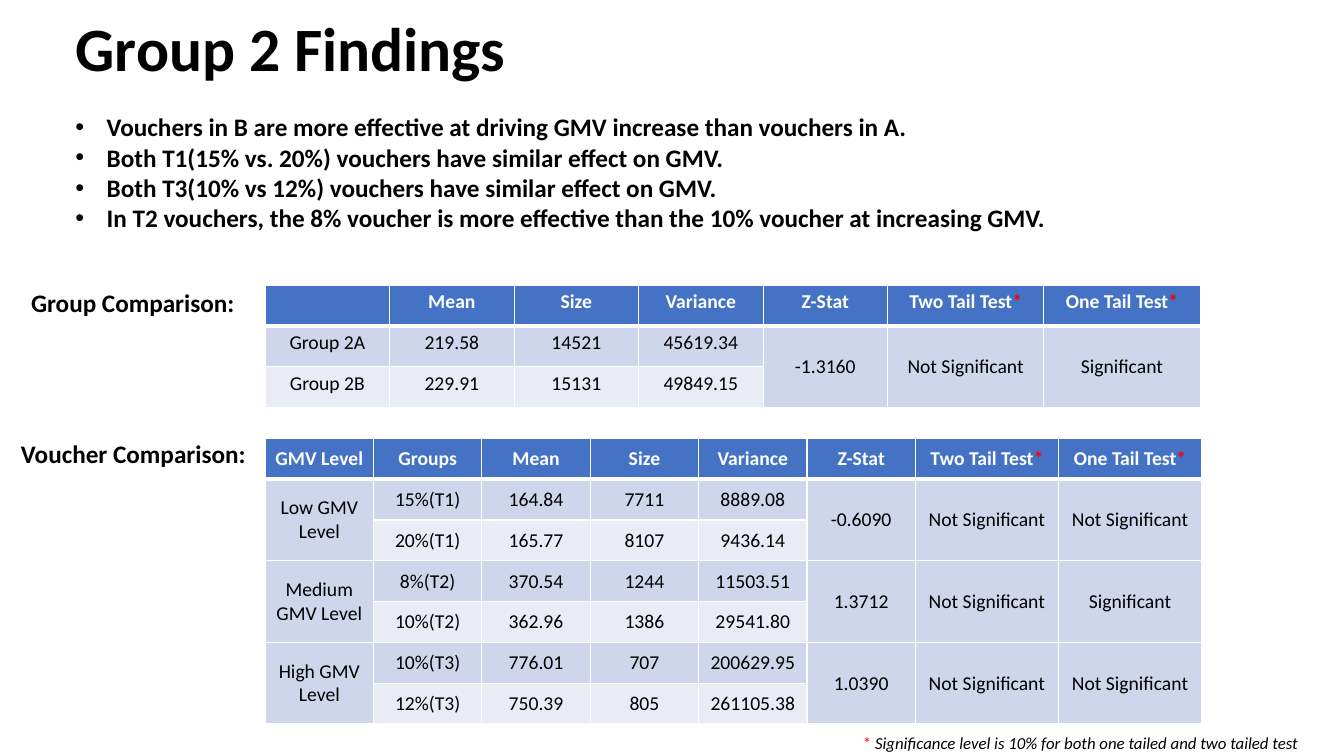
from dataclasses import dataclass

from lxml.etree import SubElement
from pptx import Presentation
from pptx.dml.color import RGBColor
from pptx.enum.text import MSO_ANCHOR as Anchor, MSO_AUTO_SIZE as AutoSize, PP_ALIGN as Align
from pptx.oxml import parse_xml
from pptx.oxml.ns import nsdecls, qn
from pptx.util import Inches, Pt


@dataclass(frozen=True)
class Theme:
    font: str = "Calibri"
    text: str = "000000"
    white: str = "FFFFFF"
    star: str = "FF0000"
    header: str = "4472C4"
    band_dark: str = "CFD5EA"
    band_light: str = "E9EBF5"
    title_size: int = 44
    body_size: int = 18
    table_size: int = 14
    note_size: int = 12


THEME = Theme()


def write_text(frame, text, size, color=THEME.text, bold=False, italic=False,
               align=Align.LEFT, line_spacing=None, bullet=False):
    """Write one paragraph per line; an asterisk is a red note mark."""
    for index, line in enumerate(text.split("\n")):
        paragraph = frame.add_paragraph() if index else frame.paragraphs[0]
        paragraph.alignment = align
        paragraph.line_spacing = line_spacing
        if bullet:
            properties = paragraph._p.get_or_add_pPr()
            properties.set("marL", str(Inches(0.31)))
            properties.set("indent", str(-Inches(0.31)))
            SubElement(properties, qn("a:buFont"), typeface="Arial")
            SubElement(properties, qn("a:buChar"), char="•")
        for part in filter(None, line.partition("*")):
            is_star = part == "*"
            run = paragraph.add_run()
            run.text = part
            run.font.name = THEME.font
            run.font.size = Pt(size)
            run.font.bold = bold
            run.font.italic = italic and not is_star
            run.font.color.rgb = RGBColor.from_string(THEME.star if is_star else color)


def set_borders(cell, top, bottom):
    """Draw white cell borders; top and bottom are widths in points."""
    properties = cell._tc.get_or_add_tcPr()
    widths = {"lnL": 1, "lnR": 1, "lnT": top, "lnB": bottom}
    for position, (side, width) in enumerate(widths.items()):
        properties.insert(position, parse_xml(
            f'<a:{side} {nsdecls("a")} w="{Pt(width)}"><a:solidFill>'
            f'<a:srgbClr val="{THEME.white}"/></a:solidFill></a:{side}>'))


class SlideBuilder:
    def __init__(self, presentation, theme):
        self.theme = theme
        self.slide = presentation.slides.add_slide(presentation.slide_layouts[5])

    def title(self, text, left, top, width, height):
        shape = self.slide.shapes.title
        shape.left, shape.top = Inches(left), Inches(top)
        shape.width, shape.height = Inches(width), Inches(height)
        frame = shape.text_frame
        frame.auto_size = AutoSize.NONE
        frame.vertical_anchor = Anchor.MIDDLE
        write_text(frame, text, self.theme.title_size, bold=True, line_spacing=0.9)

    def text_box(self, text, left, top, width, height, size, wrap=False, **text_format):
        box = self.slide.shapes.add_textbox(
            Inches(left), Inches(top), Inches(width), Inches(height))
        box.text_frame.word_wrap = wrap
        box.text_frame.auto_size = AutoSize.SHAPE_TO_FIT_TEXT
        write_text(box.text_frame, text, size, **text_format)

    def table(self, rows, left, top, column_widths, row_height, anchor):
        """Build a banded table; None joins a cell to the one above."""
        theme = self.theme
        table = self.slide.shapes.add_table(
            len(rows), len(column_widths), Inches(left), Inches(top),
            Inches(sum(column_widths)), Inches(row_height * len(rows))).table
        for column, width in zip(table.columns, column_widths):
            column.width = Inches(width)
        for row_index, row in enumerate(rows):
            table.rows[row_index].height = Inches(row_height)
            is_header = row_index == 0
            band = theme.band_dark if row_index % 2 else theme.band_light
            for column_index, text in enumerate(row):
                cell = table.cell(row_index, column_index)
                cell.fill.solid()
                cell.fill.fore_color.rgb = RGBColor.from_string(
                    theme.header if is_header else band)
                set_borders(cell, top=3 if row_index == 1 else 1,
                            bottom=3 if is_header else 1)
                if text is None:
                    table.cell(row_index - 1, column_index).merge(cell)
                    continue
                joined = not is_header and rows[min(row_index + 1, len(rows) - 1)][column_index] is None
                cell.vertical_anchor = Anchor.MIDDLE if joined else anchor
                write_text(cell.text_frame, text, theme.table_size, bold=is_header,
                           color=theme.white if is_header else theme.text,
                           align=Align.CENTER)


presentation = Presentation()
presentation.slide_width, presentation.slide_height = Inches(13.33), Inches(7.5)
builder = SlideBuilder(presentation, THEME)

# Title and findings
builder.title("Group 2 Findings", 0.65, 0, 11.27, 1.03)
builder.text_box(
    "Vouchers in B are more effective at driving GMV increase than vouchers in A.\n"
    "Both T1(15% vs. 20%) vouchers have similar effect on GMV.\n"
    "Both T3(10% vs 12%) vouchers have similar effect on GMV.\n"
    "In T2 vouchers, the 8% voucher is more effective than the 10% voucher at increasing GMV.",
    0.65, 1.06, 11.55, 1.31, THEME.body_size, wrap=True, bold=True, bullet=True)

# Group comparison
TABLE_LEFT, ROW_HEIGHT = 2.63, 0.405
MEASURES = ["Mean", "Size", "Variance", "Z-Stat", "Two Tail Test*", "One Tail Test*"]
JOINED = [None] * 3
builder.text_box("Group Comparison:", 0.21, 2.8, 2.24, 0.4, THEME.body_size, bold=True)
group_rows = [
    ["", *MEASURES],
    ["Group 2A", "219.58", "14521", "45619.34", "-1.3160", "Not Significant", "Significant"],
    ["Group 2B", "229.91", "15131", "49849.15", *JOINED],
]
builder.table(group_rows, TABLE_LEFT, 2.83, [1.235] * 5 + [1.55] * 2, ROW_HEIGHT, Anchor.TOP)

# Voucher comparison
builder.text_box("Voucher Comparison:", 0.11, 4.3, 2.45, 0.4, THEME.body_size, bold=True)
voucher_rows = [
    ["GMV Level", "Groups", *MEASURES],
    ["Low GMV Level", "15%(T1)", "164.84", "7711", "8889.08",
     "-0.6090", "Not Significant", "Not Significant"],
    [None, "20%(T1)", "165.77", "8107", "9436.14", *JOINED],
    ["Medium GMV Level", "8%(T2)", "370.54", "1244", "11503.51",
     "1.3712", "Not Significant", "Significant"],
    [None, "10%(T2)", "362.96", "1386", "29541.80", *JOINED],
    ["High GMV Level", "10%(T3)", "776.01", "707", "200629.95",
     "1.0390", "Not Significant", "Not Significant"],
    [None, "12%(T3)", "750.39", "805", "261105.38", *JOINED],
]
builder.table(voucher_rows, TABLE_LEFT, 4.35, [1.075] * 6 + [1.42] * 2, ROW_HEIGHT, Anchor.MIDDLE)

# Footnote
builder.text_box("* Significance level is 10% for both one tailed and two tailed test",
                 8.46, 7.22, 4.59, 0.3, THEME.note_size, italic=True)

presentation.save("out.pptx")
